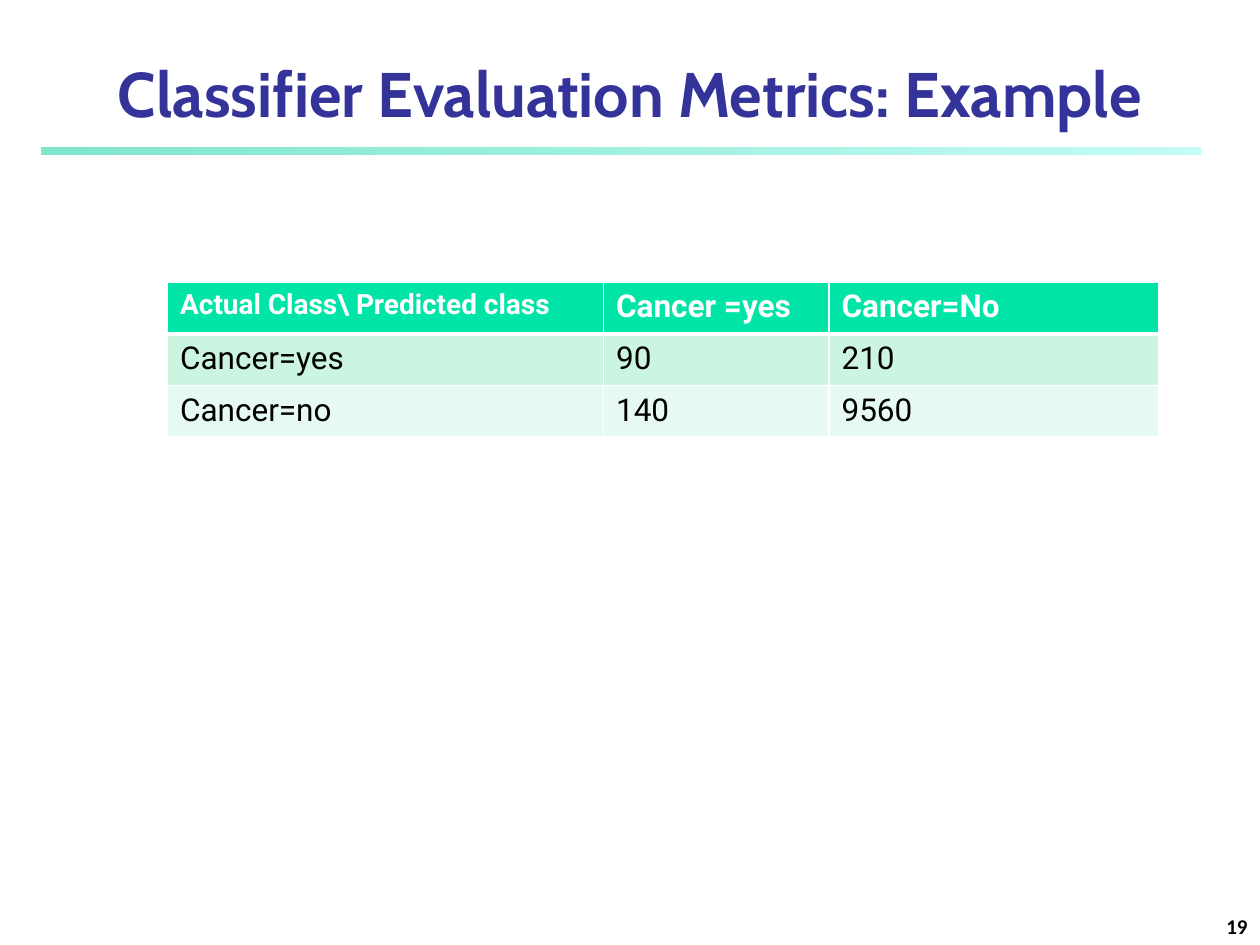
"""Build the classifier evaluation example slide with its confusion matrix."""
from lxml.etree import SubElement
from pptx import Presentation
from pptx.dml.color import RGBColor
from pptx.enum.shapes import MSO_SHAPE as Shape
from pptx.enum.text import MSO_ANCHOR as Anchor, PP_ALIGN as Align
from pptx.oxml.ns import qn
from pptx.util import Inches, Pt

WHITE = RGBColor(0xFF, 0xFF, 0xFF)
BLACK = RGBColor(0, 0, 0)
INDIGO = RGBColor(0x33, 0x33, 0x99)
HEADER_GREEN = RGBColor(0x00, 0xE4, 0xA8)
ROW_GREENS = [RGBColor(0xCC, 0xF5, 0xE1), RGBColor(0xE7, 0xFA, 0xF1)]
RULE_STOPS = [(RGBColor(0x00, 0xCE, 0x98), 50), (RGBColor(0x8F, 0xF9, 0xEF), 52)]

CAPTIONS = [
    ("Classifier Evaluation Metrics: Example", (0, 0.25, 10, 0.83), Align.CENTER,
     {"name": "Cabin", "size": Pt(36), "bold": True}, INDIGO),
    ("19", (7.92, 7.08, 2.08, 0.42), Align.RIGHT,
     {"name": "Calibri", "size": Pt(12), "bold": True}, BLACK),
]
RULE_BOX = (0.33, 1.17, 9.2, 0.06)
MATRIX = [
    ("Actual Class\\ Predicted class", "Cancer =yes", "Cancer=No"),
    ("Cancer=yes", "90", "210"),
    ("Cancer=no", "140", "9560"),
]
MATRIX_LEFT, MATRIX_TOP, ROW_HEIGHT = 1.33, 2.24, 0.41
COLUMN_WIDTHS = [3.46, 1.79, 2.62]


def box(lengths):
    return [Inches(length) for length in lengths]


def format_font(font, values, color):
    for key, value in values.items():
        setattr(font, key, value)
    font.color.rgb = color


def add_caption(slide, text, place, align, values, color):
    frame = slide.shapes.add_textbox(*box(place)).text_frame
    frame.word_wrap = True
    frame.vertical_anchor = Anchor.BOTTOM
    paragraph = frame.paragraphs[0]
    paragraph.text = text
    paragraph.alignment = align
    format_font(paragraph.font, values, color)


def add_rule(slide):
    rule = slide.shapes.add_shape(Shape.RECTANGLE, *box(RULE_BOX))
    rule.shadow.inherit = False
    rule.line.fill.background()
    rule.fill.gradient()
    rule.fill.gradient_angle = 0
    for stop, (color, _) in zip(rule.fill.gradient_stops, RULE_STOPS):
        stop.color.rgb = color
    colors = rule.element.spPr.iter(qn("a:srgbClr"))
    for color, (_, opacity) in zip(list(colors), RULE_STOPS):
        SubElement(color, qn("a:alpha"), val=str(opacity * 1000))


def add_borders(cell, widths):
    properties = cell._tc.get_or_add_tcPr()
    for side, width in widths.items():
        line = SubElement(properties, qn(f"a:ln{side}"), w=str(Pt(width)))
        fill = SubElement(line, qn("a:solidFill"))
        SubElement(fill, qn("a:srgbClr"), val=str(WHITE))


def add_matrix(slide):
    place = (MATRIX_LEFT, MATRIX_TOP, sum(COLUMN_WIDTHS), ROW_HEIGHT * len(MATRIX))
    table = slide.shapes.add_table(len(MATRIX), len(COLUMN_WIDTHS), *box(place)).table
    for column, width in zip(table.columns, COLUMN_WIDTHS):
        column.width = Inches(width)
    for r, (row, labels) in enumerate(zip(table.rows, MATRIX)):
        row.height = Inches(ROW_HEIGHT)
        for c, (cell, label) in enumerate(zip(row.cells, labels)):
            add_borders(cell, {"L": 1, "R": 1, "T": 3 if r == 1 else 1,
                               "B": 3 if r == 0 else 1})
            cell.fill.solid()
            cell.fill.fore_color.rgb = [HEADER_GREEN, *ROW_GREENS][r]
            cell.text = label
            size = Pt(16 if r == c == 0 else 18)
            format_font(cell.text_frame.paragraphs[0].runs[0].font,
                        {"name": "Roboto", "size": size, "bold": r == 0},
                        WHITE if r == 0 else BLACK)


def main():
    deck = Presentation()
    deck.slide_width, deck.slide_height = Inches(10), Inches(7.5)
    slide = deck.slides.add_slide(deck.slide_layouts[6])
    add_rule(slide)
    for caption in CAPTIONS:
        add_caption(slide, *caption)
    add_matrix(slide)
    deck.save("out.pptx")


if __name__ == "__main__":
    main()
